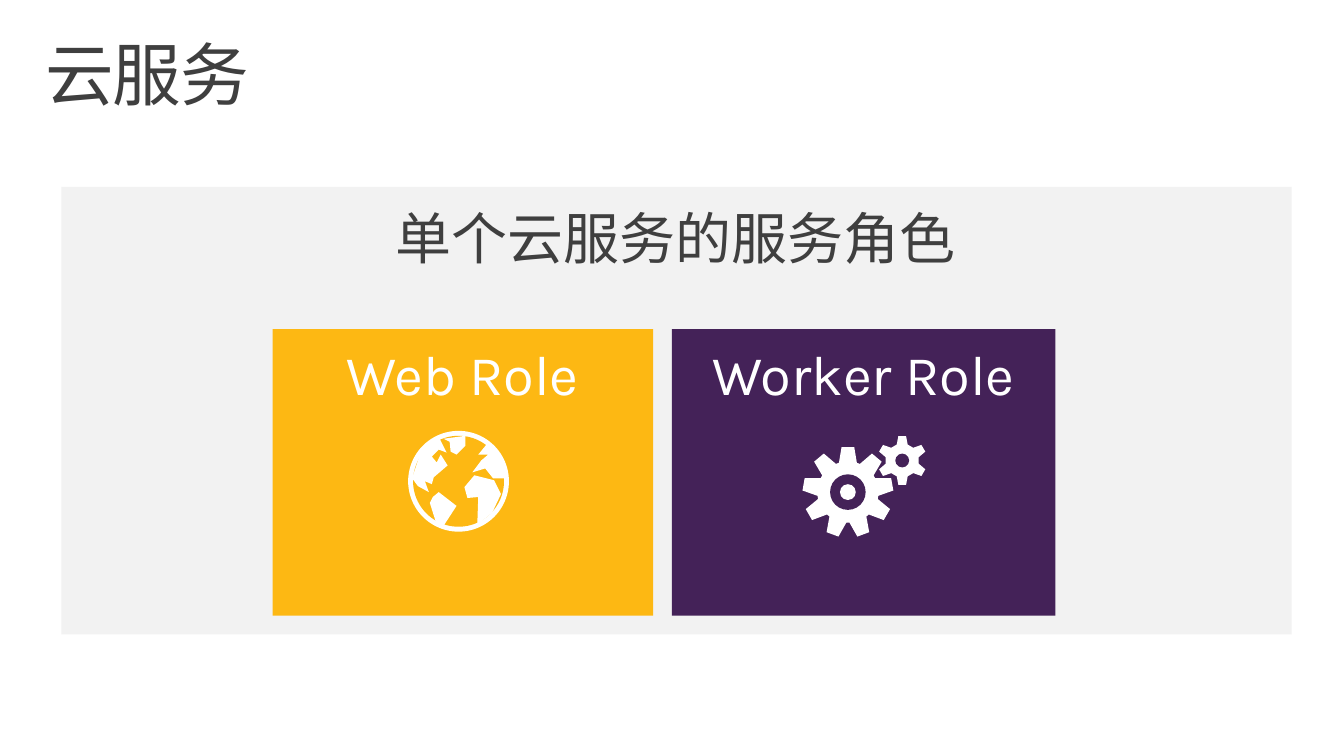
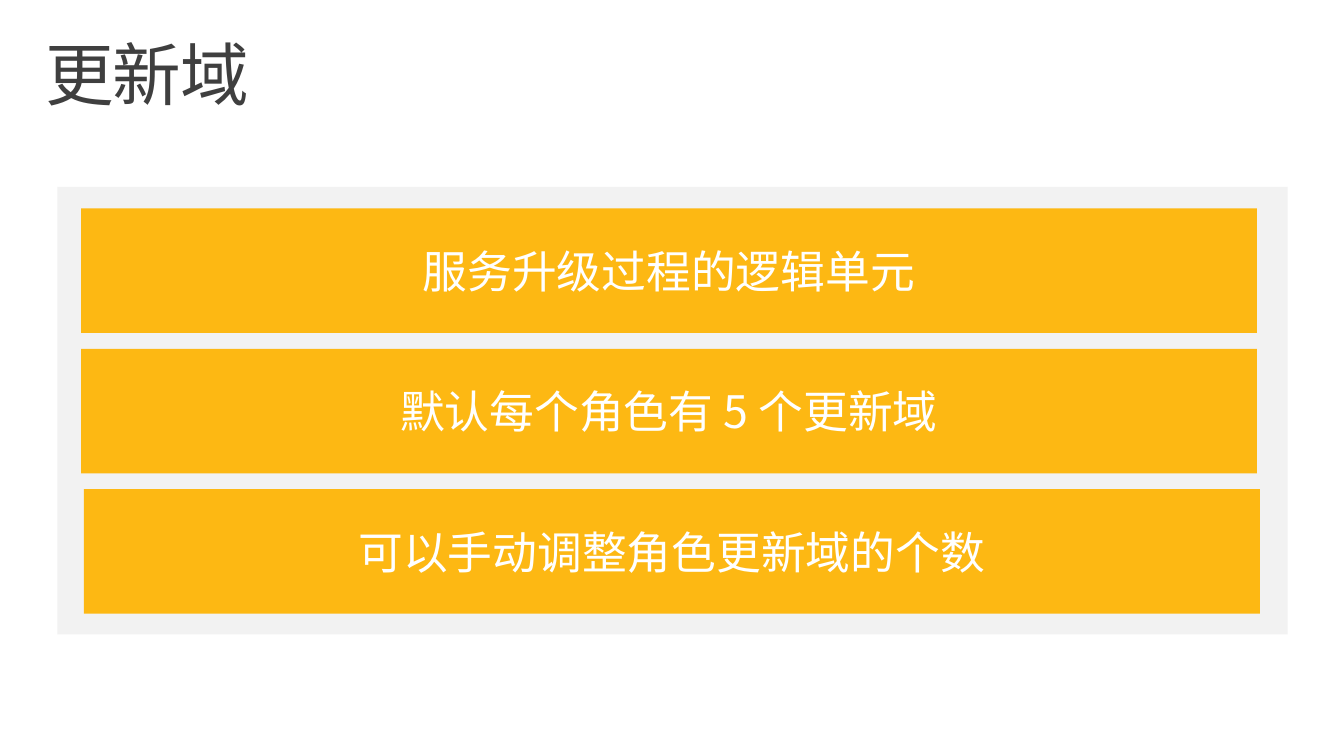
import math
from lxml import etree
from pptx import Presentation
from pptx.dml.color import RGBColor
from pptx.enum import shapes, text
from pptx.oxml.ns import qn
from pptx.util import Inches, Pt

COLORS = {"ink": "3F3F3F", "panel": "F2F2F2", "amber": "FDB813",
          "purple": "442258", "white": "FFFFFF"}
LATIN, CHINESE = "Karla", "Noto Sans CJK SC"
PANEL_TOP, PANEL_WIDTH, PANEL_HEIGHT = 1.89, 12.45, 4.53


def write(shape, words, size, color, margins=(0, 0), font=LATIN, before=0,
          spacing=1.0, align=text.PP_ALIGN.CENTER, anchor=text.MSO_ANCHOR.TOP):
    """Fill a shape with one formatted line of text and return its run."""
    frame = shape.text_frame
    frame.word_wrap = True
    frame.vertical_anchor = anchor
    frame.margin_left = frame.margin_right = Inches(margins[0])
    frame.margin_top = frame.margin_bottom = Inches(margins[1])
    para = frame.paragraphs[0]
    para.alignment = align
    para.line_spacing = spacing
    para.space_before = Pt(before)
    span = para.add_run()
    span.text = words
    span.font.size = Pt(size)
    span.font.name = font
    span.font.color.rgb = RGBColor.from_string(COLORS[color])
    etree.SubElement(span.font._element, qn("a:ea")).set("typeface", CHINESE)
    return span


def draw(parent, color, box=None, circle=None, outline=None):
    """Draw a flat rectangle (box), circle (x, y, radius) or closed outline."""
    if outline:
        start, *others = [(Inches(x), Inches(y)) for x, y in outline]
        builder = parent.build_freeform(*start, scale=1.0)
        builder.add_line_segments(others, close=True)
        shape = builder.convert_to_shape()
    else:
        kind = shapes.MSO_SHAPE.RECTANGLE
        if circle:
            x, y, radius = circle
            box = (x - radius, y - radius, 2 * radius, 2 * radius)
            kind = shapes.MSO_SHAPE.OVAL
        shape = parent.add_shape(kind, *[Inches(n) for n in box])
    shape.shadow.inherit = False
    shape.fill.solid()
    shape.fill.fore_color.rgb = RGBColor.from_string(COLORS[color])
    shape.line.fill.background()
    return shape


deck = Presentation()
deck.slide_width, deck.slide_height = Inches(13.6), Inches(7.65)

# Shared title and panel
pages = []
for heading, panel_left in [("云服务", 0.62), ("更新域", 0.58)]:
    page = deck.slides.add_slide(deck.slide_layouts[5])
    title = page.shapes.title
    title.left, title.top = Inches(0.3), Inches(0.32)
    title.width, title.height = Inches(13), Inches(1)
    span = write(title, heading, 50, "ink", (0.16, 0.1), spacing=0.9,
                 align=text.PP_ALIGN.LEFT)
    span.font._element.set("spc", "-100")
    draw(page.shapes, "panel", (panel_left, PANEL_TOP, PANEL_WIDTH, PANEL_HEIGHT))
    pages.append(page)
roles_page, domains_page = pages

# Role cards
for left, width, color in [(2.76, 3.85, "amber"), (6.8, 3.88, "purple")]:
    draw(roles_page.shapes, color, (left, 3.33, width, 2.9))

# Captions
captions = [("单个云服务的服务角色", (0.62, 2.06, 12.44, 0.7), "ink", 12, 1.0),
            ("Web Role", (2.74, 3.51, 3.88, 0.63), "white", 0, 0.9),
            ("Worker Role", (6.8, 3.51, 3.88, 0.63), "white", 0, 0.9)]
for words, place, color, before, spacing in captions:
    box = roles_page.shapes.add_textbox(*[Inches(n) for n in place])
    write(box, words, 40.8, color, before=before, spacing=spacing)
    box.text_frame.auto_size = text.MSO_AUTO_SIZE.SHAPE_TO_FIT_TEXT

# Globe: white rim, amber sea, white land; land is in hundredths from the centre
globe_x, globe_y = 4.64, 4.87
continents = {
    "north america": [(-47, -3), (-38, -30), (-20, -45), (-12, -29), (-20, -32),
                      (-27, -25), (-22, -19), (-18, -27), (-11, -16), (-25, -4),
                      (-27, 3), (-34, 0), (-30, 11), (-41, 5)],
    "south america": [(-26, 16), (-20, 11), (-2, 25), (-15, 45), (-23, 41), (-29, 22)],
    "greenland": [(-15, -43), (-9, -40), (-8, -30), (-2, -27), (7, -36), (7, -46)],
    "africa": [(6, 6), (16, -6), (36, -1), (43, 13), (34, 32), (19, 44), (20, 16), (9, 17)],
    "eurasia": [(14, -9), (23, -21), (30, -27), (20, -27), (29, -38), (42, -25),
                (48, -3), (35, -3), (27, -13)],
}
globe = roles_page.shapes.add_group_shape()
for color, radius in [("white", 0.51), ("amber", 0.46)]:
    draw(globe.shapes, color, circle=(globe_x, globe_y, radius))
for coast in continents.values():
    draw(globe.shapes, "white",
         outline=[(globe_x + x / 100, globe_y + y / 100) for x, y in coast])

# Gears: every tooth is the same four corners, turned by one pitch
gears = roles_page.shapes.add_group_shape()
for x, y, teeth, tip, root, tip_angle, root_angle, hole in [
        (8.58, 4.98, 9, 0.46, 0.31, 8, 17, 0.18),
        (9.13, 4.66, 6, 0.25, 0.17, 9, 19, 0.07)]:
    corners = [(root, -root_angle), (tip, -tip_angle), (tip, tip_angle), (root, root_angle)]
    rim = []
    for tooth in range(teeth):
        for radius, offset in corners:
            angle = math.radians(tooth * 360 / teeth + offset)
            rim.append((x + radius * math.sin(angle), y - radius * math.cos(angle)))
    draw(gears.shapes, "white", outline=rim)
    draw(gears.shapes, "purple", circle=(x, y, hole))
draw(gears.shapes, "white", circle=(8.58, 4.98, 0.08))

# Update domain bars
bar_top, bar_height, bar_gap = 2.11, 1.26, 0.16
bars = [("服务升级过程的逻辑单元", 0.82, CHINESE),
        ("默认每个角色有 5 个更新域", 0.82, CHINESE),
        ("可以手动调整角色更新域的个数", 0.85, LATIN)]
for index, (words, left, font) in enumerate(bars):
    top = bar_top + index * (bar_height + bar_gap)
    bar = draw(domains_page.shapes, "amber", (left, top, 11.9, bar_height))
    write(bar, words, 32.6, "white", (0.31, 0.05), font, before=12.2,
          anchor=text.MSO_ANCHOR.MIDDLE)

deck.save("out.pptx")
